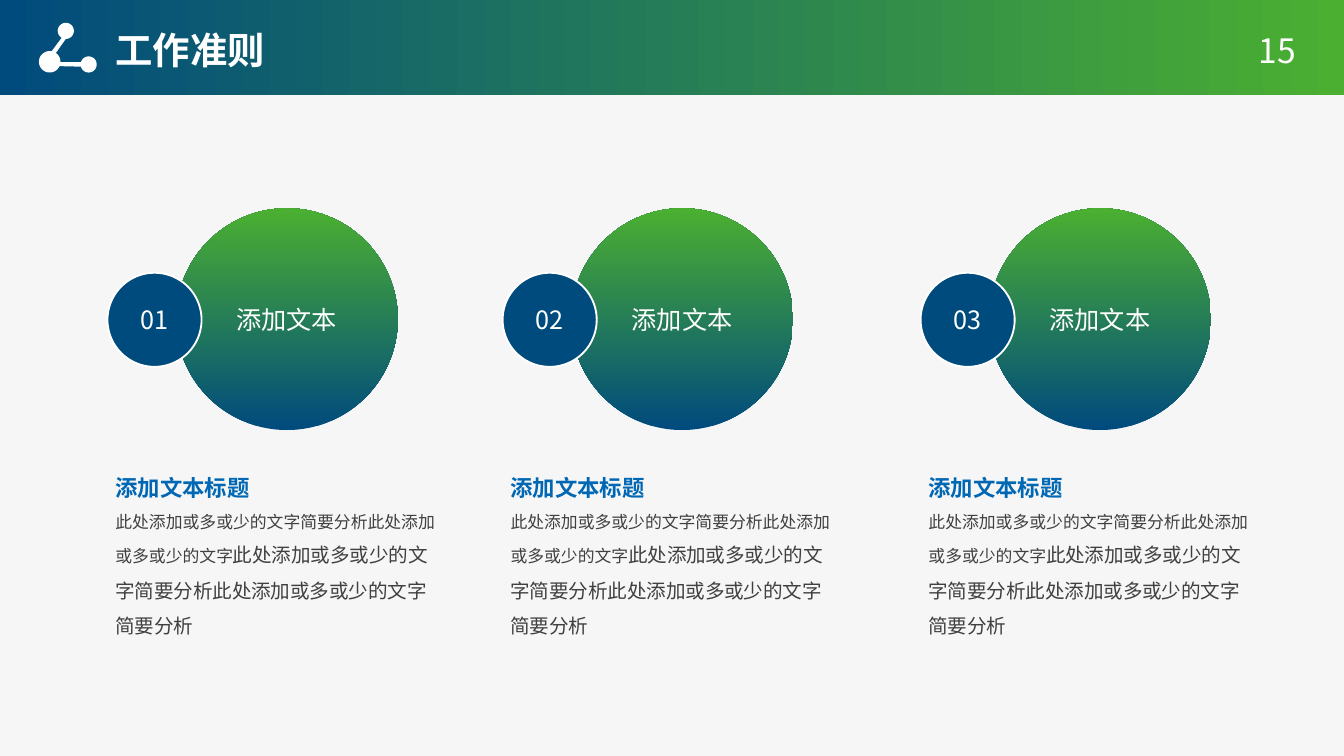
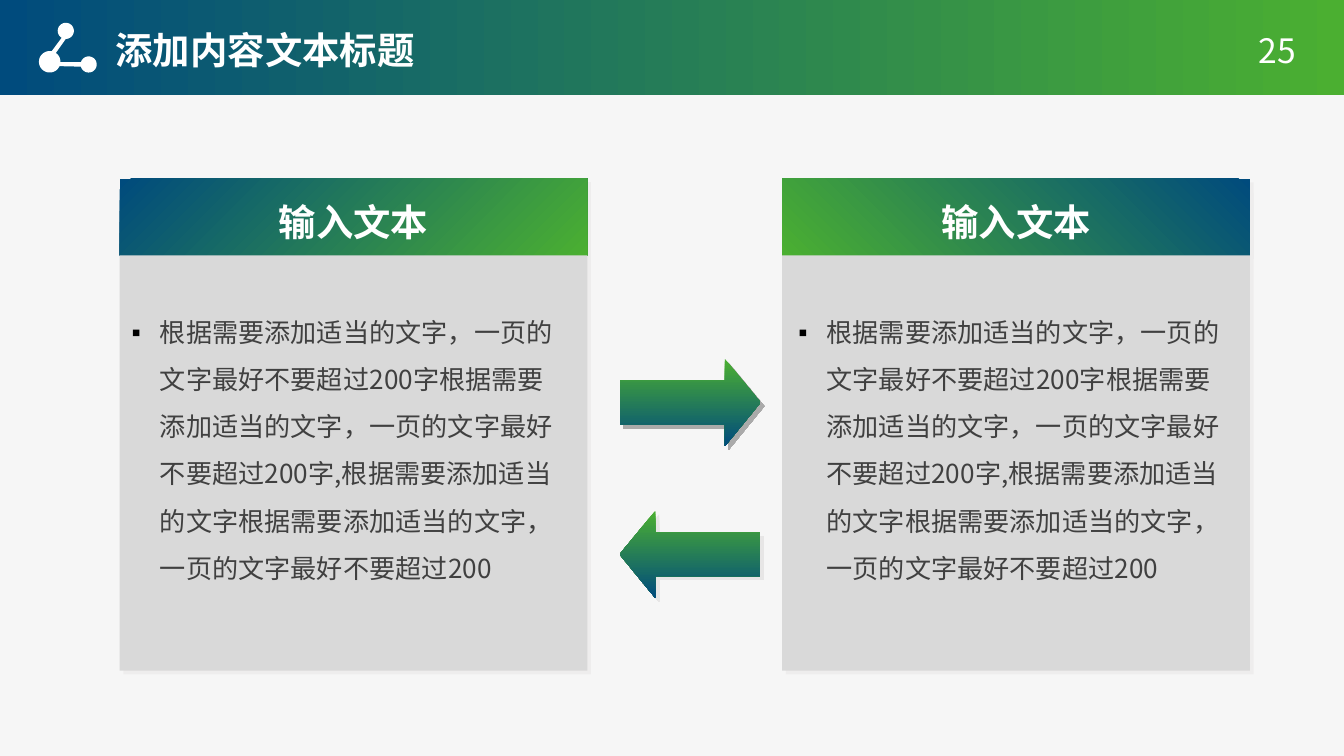
import math

from lxml import etree
from pptx import Presentation
from pptx import util as u
from pptx.dml.color import RGBColor
from pptx.enum import shapes, text
from pptx.oxml import ns

# Shared look
FONT = "Noto Sans CJK SC"
BLUE = RGBColor(0x00, 0x4B, 0x7D)
GREEN = RGBColor(0x4B, 0xAF, 0x31)
HEADING_BLUE = RGBColor(0x00, 0x67, 0xB4)
WHITE = RGBColor(0xFF, 0xFF, 0xFF)
BACKGROUND = RGBColor(0xF6, 0xF6, 0xF6)
PANEL_GREY = RGBColor(0xD9, 0xD9, 0xD9)
TEXT_GREY = RGBColor(0x40, 0x40, 0x40)
BLACK = RGBColor(0x00, 0x00, 0x00)
SHADOW_DARK = RGBColor(0x5F, 0x5F, 0x5F)
SHADOW_LIGHT = RGBColor(0xE7, 0xE6, 0xE6)

WIDTH = 10
HEIGHT = WIDTH * 9 / 16
BAND_HEIGHT = 0.71
LAYOUT_TITLE_ONLY, LAYOUT_TWO_CONTENT = 5, 3
CENTER = {"alignment": text.PP_ALIGN.CENTER}
MIDDLE = {"vertical_anchor": text.MSO_ANCHOR.MIDDLE, "word_wrap": True}

TITLE_STYLE = {"size": u.Pt(20), "bold": True, "color": WHITE}
NUMBER_STYLE = {"size": u.Pt(18), "color": WHITE}
CIRCLE_STYLE = {"size": u.Pt(13.5), "color": WHITE}
HEADING_STYLE = {"size": u.Pt(12), "bold": True, "color": HEADING_BLUE}
SMALL_STYLE = {"size": u.Pt(9), "bold": False, "color": TEXT_GREY}
DETAIL_STYLE = {**SMALL_STYLE, "size": u.Pt(10.5)}
LIST_STYLE = {"size": u.Pt(14), "color": TEXT_GREY}

# Wording
SMALL_TEXT = "此处添加或多或少的文字简要分析此处添加或多或少的文字"
DETAIL_TEXT = "此处添加或多或少的文字简要分析" * 2
ADVICE = "根据需要添加适当的文字，一页的文字最好不要超过200"
LIST_TEXT = f"{ADVICE}字{ADVICE}字,根据需要添加适当的文字{ADVICE}"


def inches(*values):
    return [u.Inches(value) for value in values]


def set_values(target, values):
    for name, value in values.items():
        setattr(target, name, value)


def add_element(parent, tag, **attributes):
    return etree.SubElement(parent, ns.qn(tag), attributes)


def margins(*values):
    names = ("margin_left", "margin_top", "margin_right", "margin_bottom")
    return dict(zip(names, inches(*values)))


def write(paragraph, runs, values=None):
    """Fill a paragraph with (text, style) runs."""
    set_values(paragraph, values or {})
    for words, style in runs:
        run = paragraph.add_run()
        run.text = words
        font = run.font
        font.color.rgb = style["color"]
        set_values(font, {name: value for name, value in style.items() if name != "color"})
        font.name = FONT
        add_element(font._element, "a:ea", typeface=FONT)


def fill_gradient(shape, first, last, angle=0, focus=None):
    shape.fill.gradient()
    for stop, color in zip(shape.fill.gradient_stops, (first, last)):
        stop.color.rgb = color
    if focus is None:
        shape.fill.gradient_angle = angle
        return
    # Round gradient centred on one corner
    linear = shape._element.spPr.find(".//" + ns.qn("a:lin"))
    gradient = linear.getparent()
    gradient.remove(linear)
    circle = add_element(gradient, "a:path", path="circle")
    add_element(circle, "a:fillToRect", **{side: "100000" for side in focus})


def add_shadow(shape, color, opacity):
    effects = shape._element.spPr.find(ns.qn("a:effectLst"))
    shadow = add_element(effects, "a:outerShdw", blurRad="0", dist=str(u.Pt(2.8)),
                         dir=str(45 * 60000), algn="ctr", rotWithShape="0")
    tint = add_element(shadow, "a:srgbClr", val=str(color))
    add_element(tint, "a:alpha", val=str(opacity * 1000))


def add_shape(slide, kind, box, color=None):
    shape = slide.shapes.add_shape(kind, *inches(*box))
    shape.shadow.inherit = False
    shape.line.fill.background()
    if color is not None:
        shape.fill.solid()
        shape.fill.fore_color.rgb = color
    return shape


def place(slide, placeholder, box):
    """Move a placeholder to its box, in front of the shapes drawn so far."""
    set_values(placeholder, dict(zip(("left", "top", "width", "height"), inches(*box))))
    slide.shapes._spTree.append(placeholder._element)
    return placeholder.text_frame


def add_molecule(slide, left, top):
    # Each arc: centre, radius, first and last angle in degrees, clockwise
    arcs = [
        (0.19, 0.06, 0.06, 121, 450),
        (0.07, 0.29, 0.08, -55, 2),
        (0.36, 0.31, 0.06, 196, 524),
        (0.07, 0.29, 0.08, 24, 281),
    ]
    points = []
    for x, y, radius, first, last in arcs:
        steps = max(4, (last - first) // 10)
        for step in range(steps + 1):
            angle = math.radians(first + (last - first) * step / steps)
            points.append(inches(left + x + radius * math.cos(angle),
                                 top + y + radius * math.sin(angle)))
    builder = slide.shapes.build_freeform(*points[0])
    builder.add_line_segments(points[1:], close=True)
    molecule = builder.convert_to_shape()
    molecule.shadow.inherit = False
    molecule.fill.solid()
    molecule.fill.fore_color.rgb = WHITE
    molecule.line.fill.background()


def add_header(slide, title, number):
    band = add_shape(slide, shapes.MSO_SHAPE.RECTANGLE, (0, 0, WIDTH, BAND_HEIGHT))
    fill_gradient(band, BLUE, GREEN)
    add_molecule(slide, 0.3, 0.17)

    frame = place(slide, slide.shapes.title, (0.79, 0.16, 2.83, 0.41))
    set_values(frame, {
        **margins(0.07, 0.04, 0.07, 0.04),
        "word_wrap": True,
        "vertical_anchor": text.MSO_ANCHOR.TOP,
        "auto_size": text.MSO_AUTO_SIZE.SHAPE_TO_FIT_TEXT,
    })
    write(frame.paragraphs[0], [(title, TITLE_STYLE)], {"alignment": text.PP_ALIGN.LEFT})

    frame = slide.shapes.add_textbox(*inches(9.23, 0.22, 0.51, 0.3)).text_frame
    set_values(frame, MIDDLE)
    write(frame.paragraphs[0], [(number, NUMBER_STYLE)], {"alignment": text.PP_ALIGN.RIGHT})


def add_circle(slide, box, words):
    circle = add_shape(slide, shapes.MSO_SHAPE.OVAL, box, BLUE)
    set_values(circle.text_frame, MIDDLE)
    write(circle.text_frame.paragraphs[0], [(words, CIRCLE_STYLE)], CENTER)
    return circle


def add_principle(slide, left, top, number):
    """A large circle with its number badge and the text below."""
    circle = add_circle(slide, (left + 0.55, top, 1.65, 1.65), "添加文本")
    fill_gradient(circle, BLUE, GREEN, angle=90)
    badge = add_circle(slide, (left + 0.04, top + 0.48, 0.7, 0.7), f"{number:02}")
    badge.line.color.rgb = WHITE
    badge.line.width = u.Pt(1)

    frame = slide.shapes.add_textbox(*inches(left, top + 1.73, 2.59, 1.57)).text_frame
    frame.word_wrap = True
    write(frame.paragraphs[0], [("添加文本标题", HEADING_STYLE)], {"line_spacing": 2.0})
    write(frame.add_paragraph(), [(SMALL_TEXT, SMALL_STYLE), (DETAIL_TEXT, DETAIL_STYLE)],
          {"line_spacing": 1.5})


def add_panel(slide, body, box, text_offset, focus):
    """A heading bar over a grey panel that holds a bulleted list."""
    left, top, width, height = box
    bar_height = 0.57
    bar = add_shape(slide, shapes.MSO_SHAPE.RECTANGLE, (left, top, width, bar_height))
    fill_gradient(bar, GREEN, BLUE, focus=focus)
    set_values(bar.text_frame, {**MIDDLE, "word_wrap": False})
    write(bar.text_frame.paragraphs[0], [("输入文本", TITLE_STYLE)],
          {**CENTER, "line_spacing": 1.2})
    panel = add_shape(slide, shapes.MSO_SHAPE.RECTANGLE,
                      (left, top + bar_height, width, height - bar_height), PANEL_GREY)
    for part in (bar, panel):
        add_shadow(part, SHADOW_LIGHT, 50)

    frame = place(slide, body, (left + text_offset, top + 0.79, 3.33, 2.6))
    set_values(frame, {
        **margins(0, 0.12, 0.16, 0.08),
        "word_wrap": True,
        "vertical_anchor": text.MSO_ANCHOR.TOP,
        "auto_size": text.MSO_AUTO_SIZE.NONE,
    })
    paragraph = frame.paragraphs[0]
    properties = paragraph._p.get_or_add_pPr()
    properties.set("marL", str(u.Inches(0.21)))
    properties.set("indent", str(u.Inches(-0.21)))
    bullet_color = add_element(properties, "a:buClr")
    add_element(bullet_color, "a:srgbClr", val=str(BLACK))
    add_element(properties, "a:buChar", char="▪")
    write(paragraph, [(LIST_TEXT, LIST_STYLE)],
          {"line_spacing": 1.5, "space_before": u.Pt(0), "space_after": u.Pt(5.6)})


def add_arrow(slide, left, top, shadow, opacity, flipped=False):
    arrow = add_shape(slide, shapes.MSO_SHAPE.RIGHT_ARROW, (left, top, 1.05, 0.65))
    arrow.adjustments[0], arrow.adjustments[1] = 0.5, 0.41
    fill_gradient(arrow, GREEN, BLUE, angle=270)
    add_shadow(arrow, shadow, opacity)
    if flipped:
        arrow._element.spPr.find(ns.qn("a:xfrm")).set("flipH", "1")


def build_principles(presentation):
    slide = presentation.slides.add_slide(presentation.slide_layouts[LAYOUT_TITLE_ONLY])
    add_header(slide, "工作准则", "15")
    for number, left in enumerate((0.76, 3.7, 6.81), start=1):
        add_principle(slide, left, 1.55, number)


def build_exchange(presentation):
    slide = presentation.slides.add_slide(presentation.slide_layouts[LAYOUT_TWO_CONTENT])
    left_body, right_body = list(slide.placeholders)[1:]
    add_header(slide, "添加内容文本标题", "25")
    add_arrow(slide, 4.61, 2.67, SHADOW_DARK, 50)
    add_arrow(slide, 4.61, 3.8, SHADOW_LIGHT, 100, flipped=True)
    add_panel(slide, left_body, (0.89, 1.33, 3.48, 3.66), 0.09, focus="lt")
    add_panel(slide, right_body, (5.82, 1.33, 3.48, 3.66), 0.12, focus="tr")


def main():
    presentation = Presentation()
    presentation.slide_width, presentation.slide_height = inches(WIDTH, HEIGHT)
    background = presentation.slide_master.background.fill
    background.solid()
    background.fore_color.rgb = BACKGROUND
    build_principles(presentation)
    build_exchange(presentation)
    presentation.save("out.pptx")


if __name__ == "__main__":
    main()
